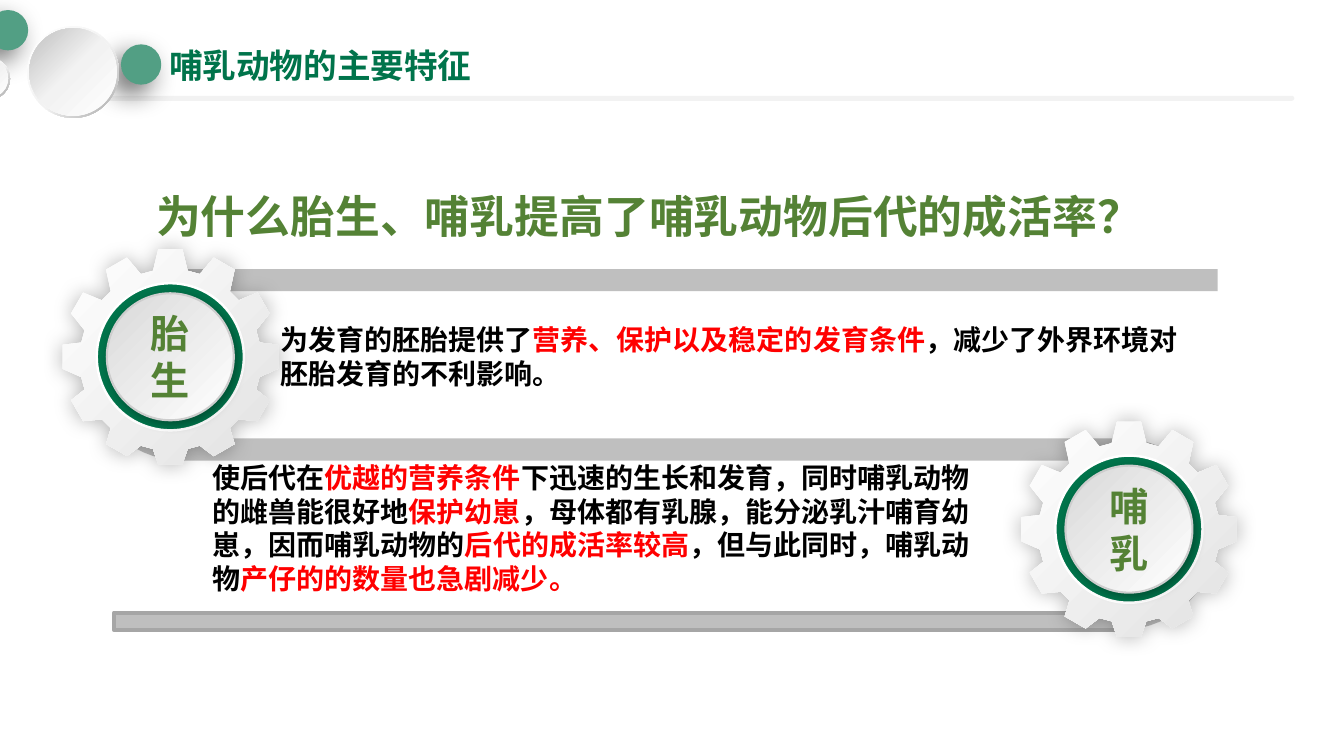
from itertools import cycle
from math import cos, radians, sin
from typing import NamedTuple
from lxml import etree
from pptx import Presentation
from pptx.dml.color import RGBColor
from pptx.enum.shapes import MSO_SHAPE
from pptx.enum.text import MSO_ANCHOR, PP_ALIGN
from pptx.oxml.ns import qn
from pptx.util import Emu, Inches, Pt

ELLIPSE, DONUT = MSO_SHAPE.OVAL, MSO_SHAPE.DONUT
BAR, ROUNDED_BAR = MSO_SHAPE.RECTANGLE, MSO_SHAPE.ROUNDED_RECTANGLE
LEFT, CENTER = PP_ALIGN.LEFT, PP_ALIGN.CENTER
TOP, MIDDLE = MSO_ANCHOR.TOP, MSO_ANCHOR.MIDDLE

BLACK = RGBColor(0x00, 0x00, 0x00)
WHITE = RGBColor(0xFF, 0xFF, 0xFF)
RED = RGBColor(0xFF, 0x00, 0x00)
DARK_GREEN = RGBColor(0x00, 0x74, 0x4B)
SOFT_GREEN = RGBColor(0x52, 0x9F, 0x84)
LEAF_GREEN = RGBColor(0x54, 0x82, 0x35)
PALE_GRAY = RGBColor(0xF2, 0xF2, 0xF2)
GEAR_GRAY = RGBColor(0xE2, 0xE2, 0xE2)
LIGHT_GRAY = RGBColor(0xD9, 0xD9, 0xD9)
RIM_GRAY = RGBColor(0xCD, 0xCD, 0xCD)
BAND_GRAY = RGBColor(0xBF, 0xBF, 0xBF)
EDGE_GRAY = RGBColor(0xA6, 0xA6, 0xA6)
LATIN_FONT, CHINESE_FONT = "Arial", "Noto Sans CJK SC"

# The slide is a grid of square cells, ten to the inch
CELL = Inches(0.1)
COLUMNS, ROWS = 133.33, 75

class Gradient(NamedTuple):
    stops: tuple
    angle: int

class Shadow(NamedTuple):
    opacity: int
    blur: float
    distance: float
    angle: int

class Disc(NamedTuple):
    column: float
    row: float
    radius: float

class Gear(NamedTuple):
    column: float
    row: float
    label: str

class Band(NamedTuple):
    far_column: float
    center_column: float
    center_row: float
    side: int

RIM = Gradient(((0, WHITE), (55, PALE_GRAY), (100, EDGE_GRAY)), 45)
BUTTON = Gradient(((0, WHITE), (51, PALE_GRAY), (100, BAND_GRAY)), 225)
GEAR_FILL = Gradient(((0, WHITE), (100, GEAR_GRAY)), 45)
HUB_FILL = Gradient(((0, LIGHT_GRAY), (100, WHITE)), 45)
DOT_SHADOW = Shadow(60, 20, 10, 135)
GEAR_SHADOW, HUB_SHADOW = Shadow(30, 15, 0, 45), Shadow(30, 7, 3, 45)

DOTS = (Disc(14, 6.4, 2), Disc(0.8, 3, 2))
BUTTONS = (Disc(7.25, 7.15, 4.55), Disc(-1.1, 7.8, 2.1))
BANDS = (Band(17.6, 111.2, 53, 1), Band(120.8, 18.1, 36.2, -1))
BIRTH_GEAR, MILK_GEAR = Gear(16.9, 35.4, "胎生"), Gear(112, 52.5, "哺乳")
BIRTH_TEXT = ("为发育的胚胎提供了", "营养、保护以及稳定的发育条件",
              "，减少了外界环境对胚胎发育的不利影响。")
MILK_TEXT = ("使后代在", "优越的营养条件", "下迅速的生长和发育，同时哺乳动物的雌兽能很好地",
             "保护幼崽", "，母体都有乳腺，能分泌乳汁哺育幼崽，因而哺乳动物的",
             "后代的成活率较高", "，但与此同时，哺乳动物", "产仔的的数量也急剧减少。")

def cells(count: float) -> Emu:
    return Emu(round(count * CELL))

def add_element(parent, tag: str, **attributes):
    return etree.SubElement(parent, qn(tag), {k: str(v) for k, v in attributes.items()})

def style_shape(shape, fill, line=None, line_width: float = 1, shadow=None):
    """Set fill, outline and shadow."""
    shape.shadow.inherit = False
    if isinstance(fill, Gradient):
        shape.fill.gradient()
        gradient = shape._element.spPr.find(qn("a:gradFill"))
        stop_list = gradient.find(qn("a:gsLst"))
        for stop in list(stop_list):
            stop_list.remove(stop)
        for position, color in fill.stops:
            stop = add_element(stop_list, "a:gs", pos=position * 1000)
            add_element(stop, "a:srgbClr", val=color)
        gradient.find(qn("a:lin")).set("ang", str(fill.angle * 60000))
    else:
        shape.fill.solid()
        shape.fill.fore_color.rgb = fill
    if line is None:
        shape.line.fill.background()
    else:
        shape.line.color.rgb = line
        shape.line.width = Pt(line_width)
    if shadow:
        effects = shape._element.spPr.find(qn("a:effectLst"))
        outer = add_element(effects, "a:outerShdw", blurRad=Pt(shadow.blur),
                            dist=Pt(shadow.distance), dir=shadow.angle * 60000,
                            algn="ctr", rotWithShape=0)
        color = add_element(outer, "a:srgbClr", val=BLACK)
        add_element(color, "a:alpha", val=shadow.opacity * 1000)
    return shape

def add_preset(slide, kind, column: float, row: float, width: float, height: float,
               fill, **style):
    shape = slide.shapes.add_shape(kind, *map(cells, (column, row, width, height)))
    return style_shape(shape, fill, **style)

def add_disc(slide, disc: Disc, fill, kind=ELLIPSE, **style):
    column, row, radius = disc
    return add_preset(slide, kind, column - radius, row - radius, 2 * radius, 2 * radius,
                      fill, **style)

def add_outline(slide, points: list, fill, **style):
    corners = [(cells(x), cells(y)) for x, y in points]
    builder = slide.shapes.build_freeform(*corners[0])
    builder.add_line_segments(corners[1:], close=True)
    return style_shape(builder.convert_to_shape(), fill, **style)

def write_text(shape, parts: tuple, size: float, colors: tuple, font: str = CHINESE_FONT,
               align=LEFT, anchor=TOP) -> None:
    """Write one bold paragraph whose parts take the colours in turn."""
    frame = shape.text_frame
    frame.word_wrap = True
    frame.vertical_anchor = anchor
    paragraph = frame.paragraphs[0]
    paragraph.alignment = align
    for part, color in zip(parts, cycle(colors)):
        run = paragraph.add_run()
        run.text = part
        run.font.name, run.font.size, run.font.bold = font, Pt(size), True
        run.font.color.rgb = color
        add_element(run._r.get_or_add_rPr(), "a:ea", typeface=CHINESE_FONT)

def add_text(slide, column: float, row: float, width: float, height: float,
             parts: tuple, **style) -> None:
    box = slide.shapes.add_textbox(*map(cells, (column, row, width, height)))
    write_text(box, parts, **style)

def on_circle(column: float, row: float, radius: float, angle: float) -> tuple:
    return column + radius * cos(radians(angle)), row + radius * sin(radians(angle))

def add_band(slide, band: Band) -> None:
    """Draw a straight bar that bends round a gear."""
    outer, inner = 9.5, 7.3
    far, x, y, side = band
    angles = range(-90, 91, 6)
    arcs = [on_circle(0, y, outer, angle) for angle in angles]
    arcs += [on_circle(0, y, inner, angle) for angle in reversed(angles)]
    points = [(x + side * reach, height) for reach, height in arcs]
    add_outline(slide, points + [(far, y - inner), (far, y - outer)], BAND_GRAY)

def add_gear(slide, gear: Gear) -> None:
    x, y, label = gear
    points = []
    for tooth in range(0, 360, 30):
        points += [on_circle(x, y + 0.3, 9, tooth - 11), on_circle(x, y, 10.75, tooth - 6.4),
                   on_circle(x, y, 10.75, tooth + 6.4), on_circle(x, y + 0.3, 9, tooth + 11)]
    add_outline(slide, points, GEAR_FILL, shadow=GEAR_SHADOW)
    add_disc(slide, Disc(x, y, 7.3), DARK_GREEN, line=WHITE, line_width=1.75)
    hub = add_disc(slide, Disc(x, y, 6.3), HUB_FILL, line=RIM_GRAY, line_width=1.5,
                   shadow=HUB_SHADOW)
    write_text(hub, (label,), 28, (LEAF_GREEN,), LATIN_FONT, CENTER, MIDDLE)

def main() -> None:
    presentation = Presentation()
    presentation.slide_width, presentation.slide_height = cells(COLUMNS), cells(ROWS)
    slide = presentation.slides.add_slide(presentation.slide_layouts[6])
    # Header
    rule = add_preset(slide, ROUNDED_BAR, 5, 9.5, 123.4, 0.5, PALE_GRAY)
    rule.adjustments[0] = 0.5
    for dot in DOTS:
        add_disc(slide, dot, SOFT_GREEN, shadow=DOT_SHADOW)
    for button in BUTTONS:
        add_disc(slide, button, RIM, DONUT).adjustments[0] = 0.05
        add_disc(slide, button._replace(radius=button.radius - 0.2), BUTTON)
    add_text(slide, 15.8, 4, 38.1, 5.2, ("哺乳动物的主要特征",), size=24,
             colors=(DARK_GREEN,), font=LATIN_FONT)
    # Bands, gears and explanations
    add_preset(slide, BAR, 11.3, 60.8, 101.4, 1.7, BAND_GRAY, line=EDGE_GRAY, line_width=3)
    for band in BANDS:
        add_band(slide, band)
    add_text(slide, 26.8, 31.5, 91.5, 7.7, BIRTH_TEXT, size=20, colors=(BLACK, RED))
    add_gear(slide, MILK_GEAR)
    add_text(slide, 20.1, 45.2, 79.6, 19.8, MILK_TEXT, size=20, colors=(BLACK, RED))
    add_gear(slide, BIRTH_GEAR)
    # Question
    add_text(slide, 14.5, 18.2, 97.9, 6.4, ("为什么胎生、哺乳提高了哺乳动物后代的成活率？",),
             size=32, colors=(LEAF_GREEN,))
    presentation.save("out.pptx")

if __name__ == "__main__":
    main()
